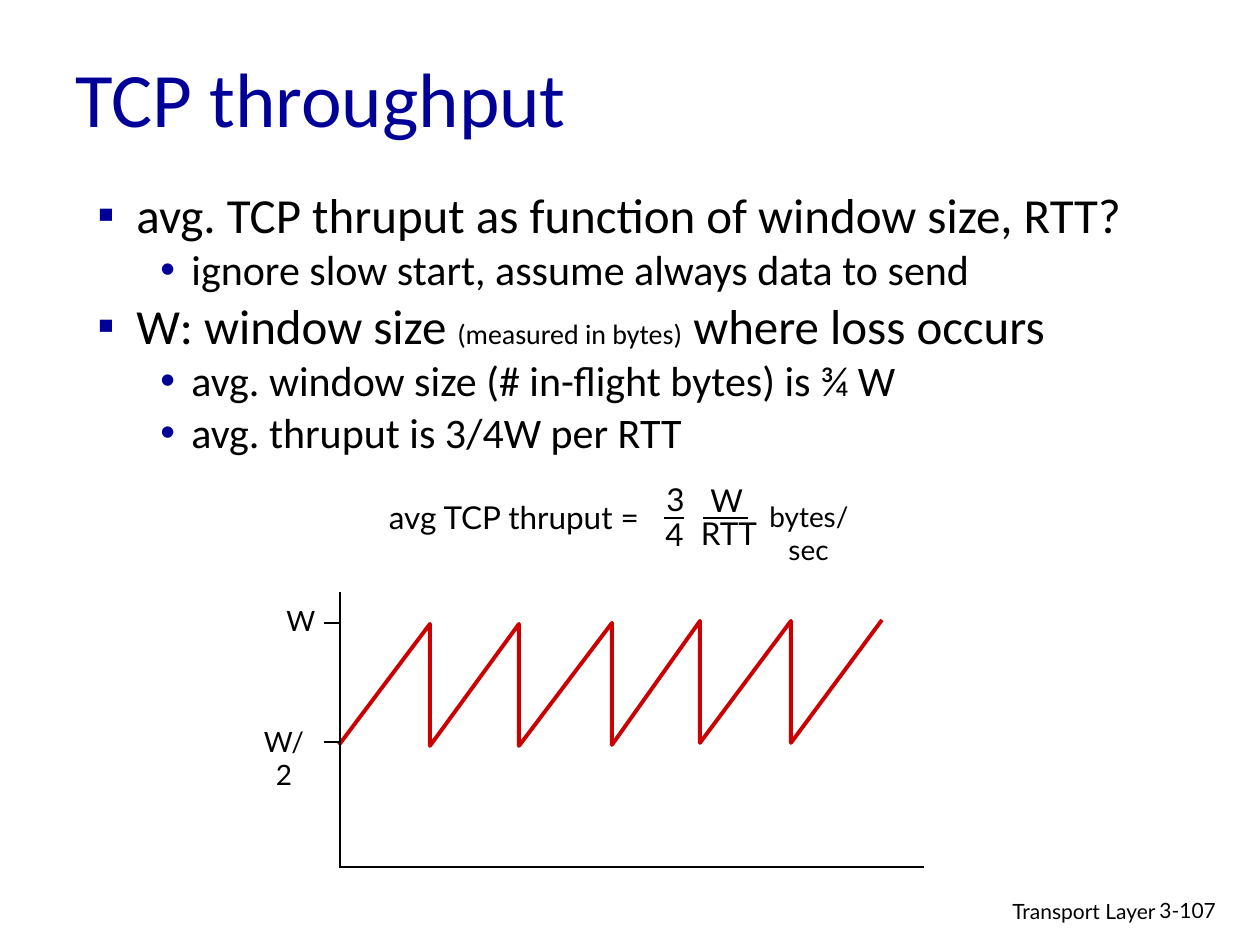
import pptx
import pptx.dml.color
import pptx.enum.shapes
import pptx.enum.text
import pptx.oxml.ns
import pptx.util
from lxml import etree

ALIGN = pptx.enum.text.PP_ALIGN
ANCHOR = pptx.enum.text.MSO_ANCHOR
COLORS = {"navy": "000099", "red": "CC0000", "black": "000000"}
EMU_PER_PX = 914400 / 126

TITLE = "TCP throughput"
TITLE_BOX = (63, 32, 1071, 129)

# (level, runs of (text, points))
BULLETS = [
    (0, [("avg. TCP thruput as function of window size, RTT?", 28)]),
    (1, [("ignore slow start, assume always data to send", 24)]),
    (0, [("W: window size ", 28), ("(measured in bytes)", 16),
         (" where loss occurs", 28)]),
    (1, [("avg. window size (# in-flight bytes) is ¾ W", 24)]),
    (1, [("avg. thruput is 3/4W per RTT", 24)]),
]
BULLETS_BOX = (85, 187, 1139, 285)
# bullet character, left margin and hanging indent in px
LEVELS = [("▪", 39, 39), ("•", 94, 31)]

# (text, points, box, alignment, wraps)
LABELS = [
    ("Transport Layer", 12, (769, 892, 399, 38), ALIGN.RIGHT, True),
    ("3-107", 12, (1147, 891, 93, 38), ALIGN.LEFT, True),
    ("W", 16, (274, 597, 50, 47), ALIGN.CENTER, False),
    ("W/2", 16, (249, 718, 70, 80), ALIGN.CENTER, True),
    ("avg TCP thruput = ", 18, (373, 492, 282, 50), ALIGN.CENTER, False),
    ("3", 18, (654, 474, 43, 50), ALIGN.CENTER, False),
    ("4", 18, (653, 509, 43, 50), ALIGN.CENTER, False),
    ("W", 18, (698, 475, 54, 50), ALIGN.CENTER, False),
    ("RTT", 18, (688, 508, 82, 50), ALIGN.CENTER, False),
    ("bytes/sec", 16, (756, 493, 105, 80), ALIGN.CENTER, True),
]

LINES = [
    # axes
    (339, 867, 924, 867),
    (340, 592, 340, 868),
    # ticks at W and W/2
    (324, 623, 339, 623),
    (324, 742, 339, 742),
    # fraction bars
    (664, 518, 684, 518),
    (703, 518, 748, 518),
]

SAWTOOTH_START = (339, 745)
PEAKS = [(430, 624), (519, 624), (612, 623), (700, 621), (791, 621), (882, 620)]
DROP = 122


def px(n):
    return pptx.util.Emu(round(n * EMU_PER_PX))


def rgb(name):
    return pptx.dml.color.RGBColor.from_string(COLORS[name])


def add_runs(p, runs, font, color="black"):
    for text, size in runs:
        r = p.add_run()
        r.text = text
        r.font.size = pptx.util.Pt(size)
        r.font.name = font
        r.font.color.rgb = rgb(color)


def add_bullet(p, char, margin, hang):
    pPr = p._p.get_or_add_pPr()
    pPr.set("marL", str(px(margin)))
    pPr.set("indent", str(-px(hang)))
    qn = pptx.oxml.ns.qn
    color = etree.SubElement(pPr, qn("a:buClr"))
    etree.SubElement(color, qn("a:srgbClr"), val=COLORS["navy"])
    etree.SubElement(pPr, qn("a:buFont"), typeface="Arial")
    etree.SubElement(pPr, qn("a:buChar"), char=char)


def add_title(s):
    title = s.shapes.title
    title.left, title.top, title.width, title.height = map(px, TITLE_BOX)
    tf = title.text_frame
    tf.vertical_anchor = ANCHOR.MIDDLE
    p = tf.paragraphs[0]
    p.alignment = ALIGN.LEFT
    add_runs(p, [(TITLE, 44)], "Calibri", "navy")


def add_bullets(s):
    tf = s.shapes.add_textbox(*map(px, BULLETS_BOX)).text_frame
    tf.word_wrap = True
    for i, (level, runs) in enumerate(BULLETS):
        p = tf.add_paragraph() if i else tf.paragraphs[0]
        p.level = level
        p.line_spacing = 0.85
        p.space_before = pptx.util.Pt(0.2 * runs[0][1] if i else 0)
        add_bullet(p, *LEVELS[level])
        add_runs(p, runs, "Calibri")


def add_label(s, text, size, box, align, wraps):
    tf = s.shapes.add_textbox(*map(px, box)).text_frame
    tf.word_wrap = wraps
    p = tf.paragraphs[0]
    p.alignment = align
    add_runs(p, [(text, size)], "Lato")


def add_line(s, ends):
    line = s.shapes.add_connector(
        pptx.enum.shapes.MSO_CONNECTOR.STRAIGHT, *map(px, ends))
    line.line.color.rgb = rgb("black")
    line.line.width = pptx.util.Pt(1.5)
    etree.SubElement(line._element.spPr, pptx.oxml.ns.qn("a:effectLst"))


def add_sawtooth(s):
    points = []
    for x, y in PEAKS:
        points += [(x, y), (x, y + DROP)]
    builder = s.shapes.build_freeform(*SAWTOOTH_START, scale=EMU_PER_PX)
    builder.add_line_segments(points[:-1], close=False)
    sp = builder.convert_to_shape()
    sp.shadow.inherit = False
    sp.fill.background()
    sp.line.color.rgb = rgb("red")
    sp.line.width = pptx.util.Pt(2.25)


def main():
    prs = pptx.Presentation()
    prs.slide_width = pptx.util.Inches(10)
    prs.slide_height = pptx.util.Inches(7.5)
    s = prs.slides.add_slide(prs.slide_layouts[5])
    add_title(s)
    add_bullets(s)
    add_sawtooth(s)
    for ends in LINES:
        add_line(s, ends)
    for label in LABELS:
        add_label(s, *label)
    prs.save("out.pptx")


if __name__ == "__main__":
    main()
